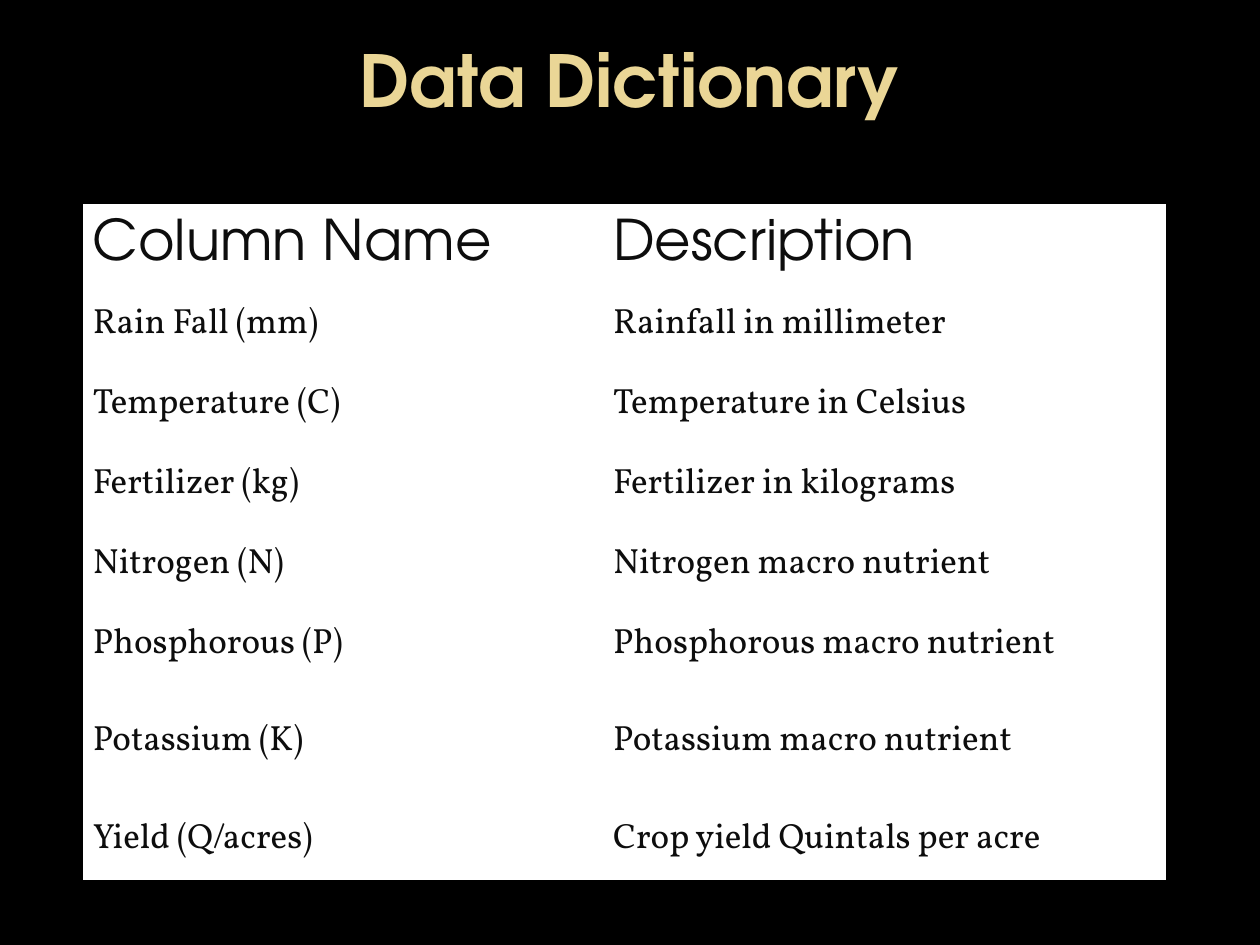
from pptx import Presentation
from pptx.dml.color import RGBColor
from pptx.enum.text import MSO_ANCHOR, PP_ALIGN
from pptx.util import Cm, Pt

# Content
TITLE = "Data Dictionary"
ROWS = [
    ("Column Name", "Description"),
    ("Rain Fall (mm)", "Rainfall in millimeter"),
    ("Temperature (C)", "Temperature in Celsius"),
    ("Fertilizer (kg)", "Fertilizer in kilograms"),
    ("Nitrogen (N)", "Nitrogen macro nutrient"),
    ("Phosphorous (P)", "Phosphorous macro nutrient"),
    ("Potassium (K)", "Potassium macro nutrient"),
    ("Yield (Q/acres)", "Crop yield Quintals per acre"),
]

# Look
COLORS = {"background": "000000", "title": "EAD696", "text": "0D0D0D", "cell": "FFFFFF"}
HEADING_FONT, BODY_FONT = "TeX Gyre Adventor", "Vollkorn"
COLUMN_WIDTHS = [10.49, 11.3]
ROW_HEIGHT = 1.61
TALL_ROWS = {"Potassium (K)": 2.33}


def color(name):
    return RGBColor.from_string(COLORS[name])


def add_span(paragraph, text, font, size, color_name, bold=False):
    span = paragraph.add_run()
    span.text = text
    span.font.name = font
    span.font.size = Pt(size)
    span.font.bold = bold
    span.font.color.rgb = color(color_name)


def fill_cell(cell, text, font, size):
    cell.fill.solid()
    cell.fill.fore_color.rgb = color("cell")
    cell.vertical_anchor = MSO_ANCHOR.MIDDLE
    cell.margin_left = cell.margin_right = Cm(0.18)
    cell.margin_top = cell.margin_bottom = Cm(0.08)
    add_span(cell.text_frame.paragraphs[0], text, font, size, "text")


deck = Presentation()
deck.slide_width, deck.slide_height = Cm(25.4), Cm(19.05)
page = deck.slides.add_slide(deck.slide_layouts[5])
page.background.fill.solid()
page.background.fill.fore_color.rgb = color("background")

# Title
title = page.shapes.title
title.left, title.top, title.width, title.height = Cm(1.27), Cm(0), Cm(22.86), Cm(3.18)
title.text_frame.vertical_anchor = MSO_ANCHOR.MIDDLE
heading = title.text_frame.paragraphs[0]
heading.alignment = PP_ALIGN.CENTER
add_span(heading, TITLE, HEADING_FONT, 41, "title", bold=True)

# Table of columns and their meaning
heights = [TALL_ROWS.get(name, ROW_HEIGHT) for name, _ in ROWS]
table = page.shapes.add_table(
    len(ROWS), len(COLUMN_WIDTHS), Cm(1.69), Cm(4.13),
    Cm(sum(COLUMN_WIDTHS)), Cm(sum(heights)),
).table
table.horz_banding = False
for column, width in zip(table.columns, COLUMN_WIDTHS):
    column.width = Cm(width)
for index, (row, height, texts) in enumerate(zip(table.rows, heights, ROWS)):
    row.height = Cm(height)
    font, size = (HEADING_FONT, 32) if index == 0 else (BODY_FONT, 20)
    for cell, text in zip(row.cells, texts):
        fill_cell(cell, text, font, size)

deck.save("out.pptx")
